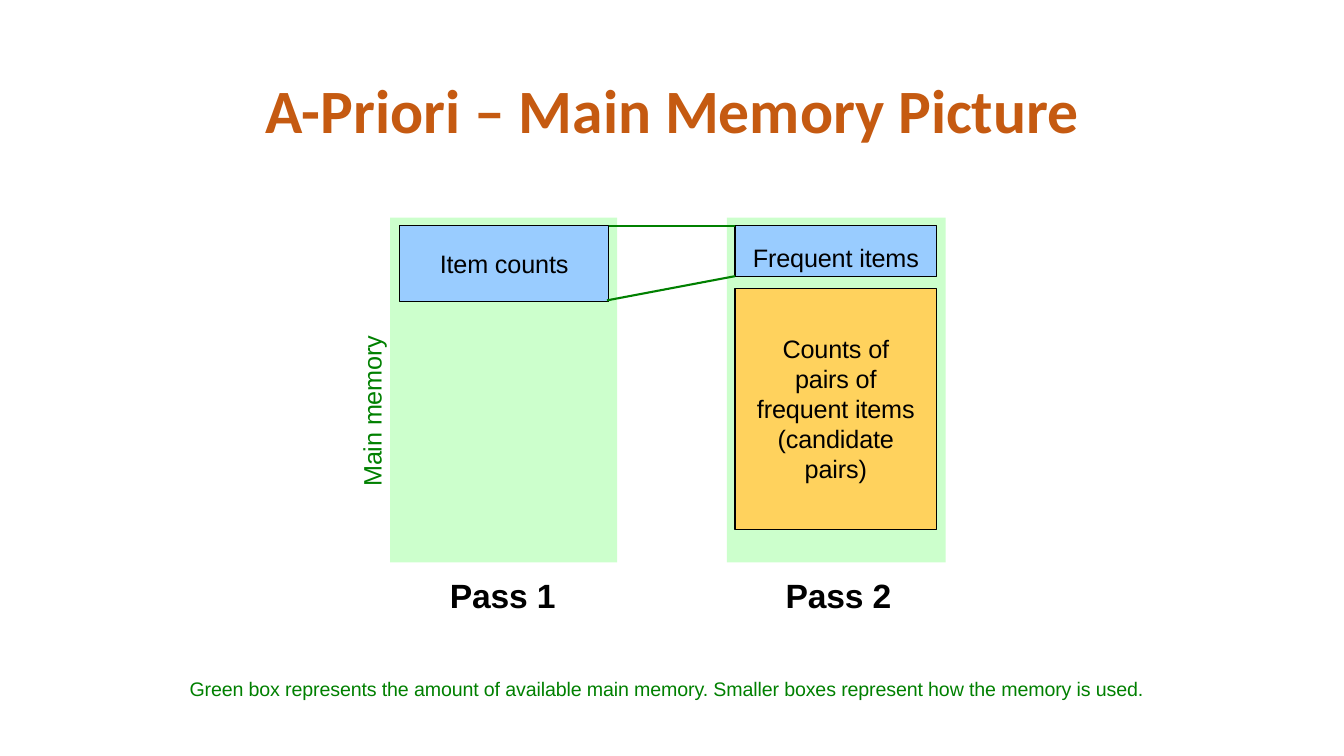
"""Build the A-Priori main memory slide."""
from lxml import etree
from pptx import Presentation
from pptx.dml.color import RGBColor
from pptx.enum.shapes import MSO_CONNECTOR, MSO_SHAPE
from pptx.enum.text import MSO_ANCHOR, PP_ALIGN
from pptx.oxml.ns import qn
from pptx.util import Inches, Pt

RECT = MSO_SHAPE.RECTANGLE
LINE = MSO_CONNECTOR.STRAIGHT
MIDDLE = MSO_ANCHOR.MIDDLE
TOP = MSO_ANCHOR.TOP
CENTER = PP_ALIGN.CENTER
LEFT = PP_ALIGN.LEFT

BLACK = RGBColor(0x00, 0x00, 0x00)
RUST = RGBColor(0xC5, 0x5A, 0x11)
GREEN = RGBColor(0x00, 0x80, 0x00)
MINT = RGBColor(0xCC, 0xFF, 0xCC)
BLUE = RGBColor(0x99, 0xCC, 0xFF)
GOLD = RGBColor(0xFF, 0xD2, 0x5D)


def style(shape, text, size, color, bold=False, font="Arial",
          align=CENTER, anchor=MIDDLE, spread=None):
    frame = shape.text_frame
    frame.text = text
    frame.vertical_anchor = anchor
    frame.word_wrap = True
    frame.margin_left = frame.margin_right = 0
    frame.margin_top = frame.margin_bottom = 0
    for para in frame.paragraphs:
        para.alignment = align
        para.line_spacing = spread
        for run in para.runs:
            run.font.name = font
            run.font.size = Pt(size)
            run.font.bold = bold
            run.font.color.rgb = color


def track(shape, space):
    for props in shape.element.iter(qn("a:rPr")):
        props.set("spc", str(space))


def title(slide, text):
    shape = slide.shapes.title
    shape.left, shape.top = Inches(0.92), Inches(0.4)
    shape.width, shape.height = Inches(11.5), Inches(1.45)
    style(shape, text, 44, RUST, bold=True, font="Calibri", spread=0.9)


def block(slide, left, top, width, height, fill):
    shape = slide.shapes.add_shape(
        RECT, Inches(left), Inches(top), Inches(width), Inches(height))
    shape.shadow.inherit = False
    shape.fill.solid()
    shape.fill.fore_color.rgb = fill
    shape.line.fill.background()
    return shape


def part(slide, left, top, width, height, fill, text, spread=None):
    shape = block(slide, left, top, width, height, fill)
    shape.line.color.rgb = BLACK
    shape.line.width = Pt(0.75)
    style(shape, text, 18, BLACK, spread=spread)
    track(shape, -10)
    return shape


def label(slide, left, top, width, height, text, size, color, **look):
    shape = slide.shapes.add_textbox(
        Inches(left), Inches(top), Inches(width), Inches(height))
    style(shape, text, size, color, **look)
    track(shape, -10)
    return shape


def link(slide, left, top, right, bottom):
    line = slide.shapes.add_connector(
        LINE, Inches(left), Inches(top), Inches(right), Inches(bottom))
    line.line.color.rgb = GREEN
    line.line.width = Pt(1.5)
    etree.SubElement(line.element.spPr, qn("a:effectLst"))


def main():
    deck = Presentation()
    deck.slide_width, deck.slide_height = Inches(13.33), Inches(7.5)
    slide = deck.slides.add_slide(deck.slide_layouts[5])
    title(slide, "A-Priori – Main Memory Picture")

    passes = [("Pass 1", 3.87, 2.25, 4.44), ("Pass 2", 7.21, 2.17, 7.77)]
    for name, left, width, start in passes:
        block(slide, left, 2.16, width, 3.42, MINT)
        label(slide, start, 5.7, 1.09, 0.43, name, 24, BLACK,
              bold=True, anchor=TOP)

    part(slide, 3.96, 2.24, 2.08, 0.75, BLUE, "Item counts")
    items = part(slide, 7.29, 2.24, 2, 0.5, BLUE, "Frequent items")
    items.text_frame.margin_top = Inches(0.12)
    part(slide, 7.29, 2.86, 2, 2.39, GOLD,
         "Counts of\vpairs of\vfrequent items\v(candidate\vpairs)",
         spread=Pt(21.4))

    link(slide, 6.04, 2.24, 7.29, 2.24)
    link(slide, 6.02, 2.98, 7.29, 2.74)

    memory = label(slide, 3.53, 3.31, 0.31, 1.54, "Main memory", 18, GREEN)
    memory.element.txBody.bodyPr.set("vert", "vert270")
    label(slide, 1.88, 6.7, 9.7, 0.26,
          "Green box represents the amount of available main memory. "
          "Smaller boxes represent how the memory is used.",
          14, GREEN, align=LEFT)
    deck.save("out.pptx")


if __name__ == "__main__":
    main()
